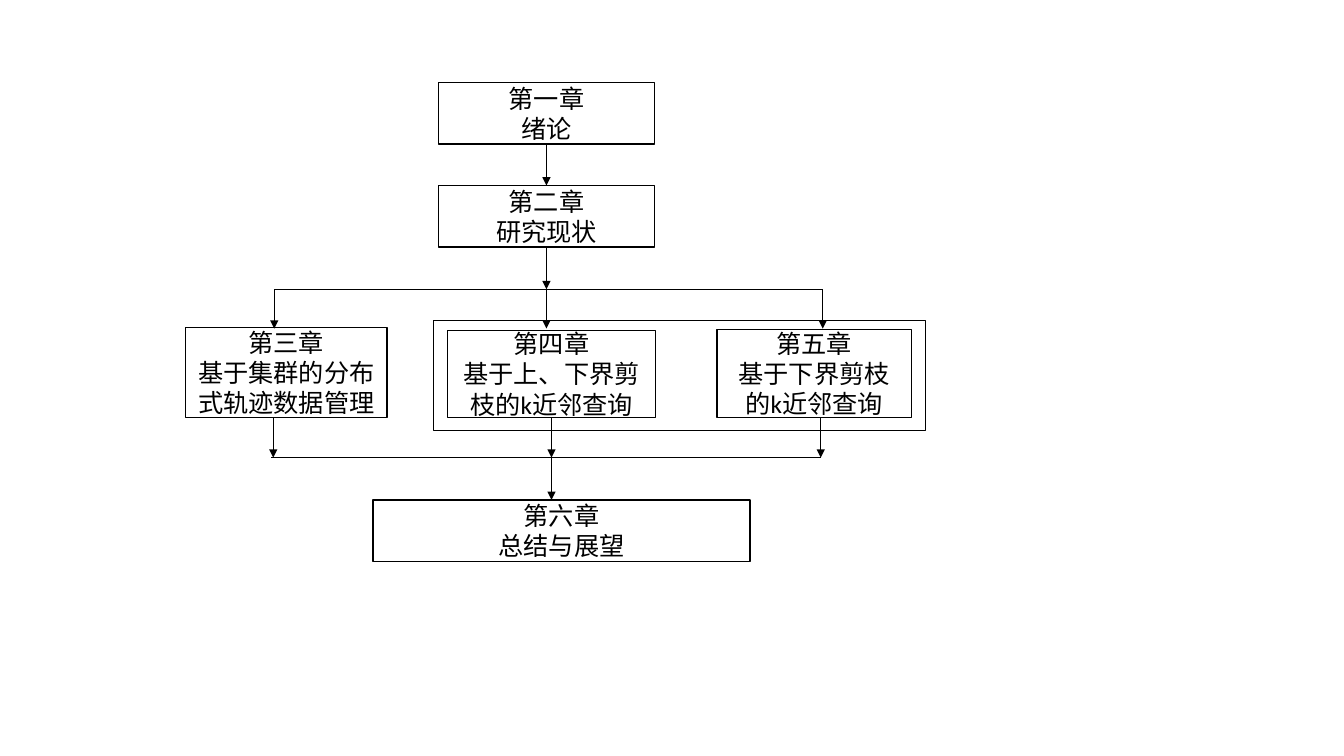
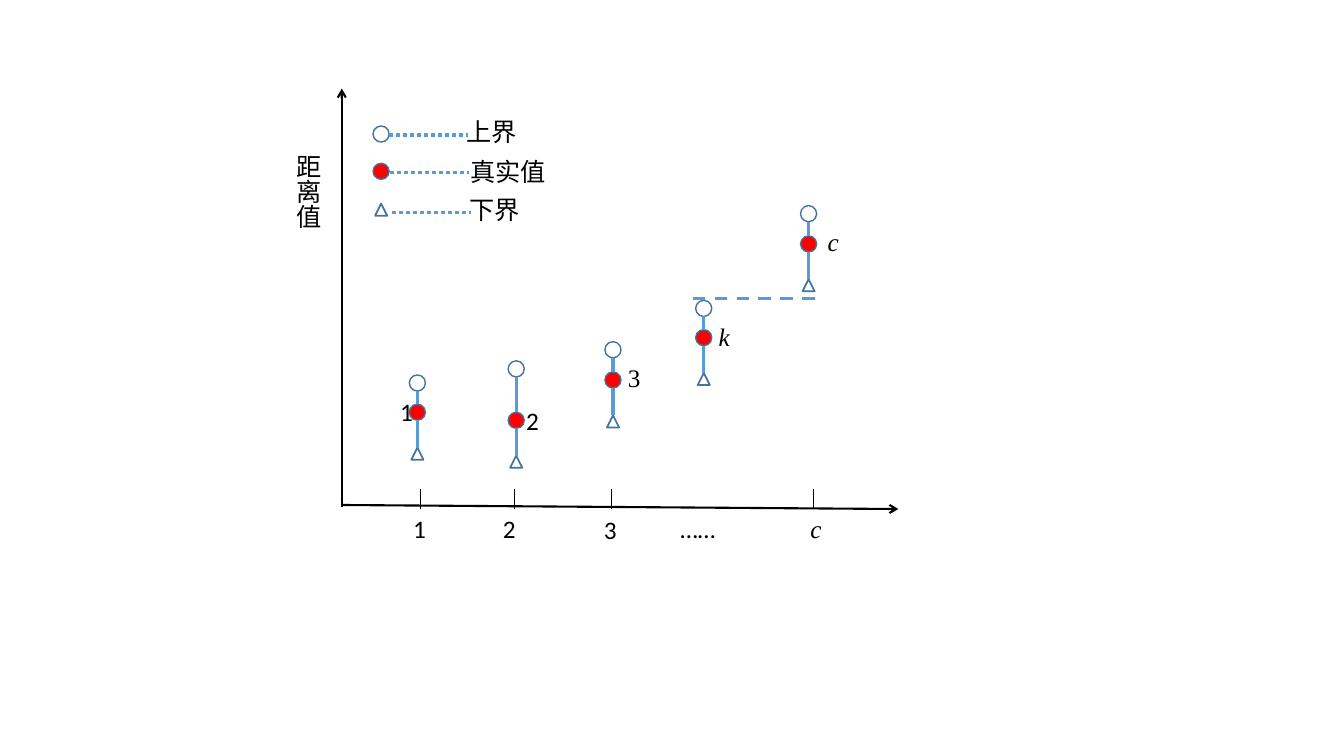
import pptx
import pptx.dml.color
import pptx.enum.dml
import pptx.enum.lang
import pptx.enum.shapes
import pptx.enum.text
import pptx.oxml.ns
import pptx.util
from dataclasses import dataclass
from lxml import etree

Inches = pptx.util.Inches
Pt = pptx.util.Pt
SHAPE = pptx.enum.shapes.MSO_SHAPE
ALIGN = pptx.enum.text.PP_ALIGN
DASH = pptx.enum.dml.MSO_LINE
qn = pptx.oxml.ns.qn


@dataclass(frozen=True)
class Theme:
    ink: str = "000000"
    series: str = "5B9BD5"
    outline: str = "43739E"
    true_value: str = "FF0000"
    sans: str = "Calibri"
    serif: str = "Times New Roman"
    text_size: float = 18
    thin: float = 0.5
    border: float = 1
    triangle: float = 1.25
    axis: float = 1.5
    stem: float = 2.25
    legend: float = 2.5


THEME = Theme()
CIRCLE_SIZE = 0.16
TRIANGLE_SIZE = 0.12


def rgb(value):
    return pptx.dml.color.RGBColor.from_string(value)


# Kinds of element
def style_text(tf, align, font=THEME.sans, italic=False):
    for p in tf.paragraphs:
        p.alignment = align
        for r in p.runs:
            r.font.name = font
            r.font.size = Pt(THEME.text_size)
            r.font.italic = italic
            r.font.color.rgb = rgb(THEME.ink)
            r.font.language_id = pptx.enum.lang.MSO_LANGUAGE_ID.SIMPLIFIED_CHINESE


def add_outline(s, kind, left, top, width, height, color, weight, fill=None):
    sp = s.shapes.add_shape(kind, Inches(left), Inches(top), Inches(width), Inches(height))
    sp.shadow.inherit = False
    if fill:
        sp.fill.solid()
        sp.fill.fore_color.rgb = rgb(fill)
    else:
        sp.fill.background()
    sp.line.color.rgb = rgb(color)
    sp.line.width = Pt(weight)
    return sp


def add_box(s, left, top, width, height, text=""):
    sp = add_outline(s, SHAPE.RECTANGLE, left, top, width, height, THEME.ink, THEME.border)
    tf = sp.text_frame
    tf.text = text
    tf.word_wrap = True
    tf.vertical_anchor = pptx.enum.text.MSO_ANCHOR.MIDDLE
    style_text(tf, ALIGN.CENTER)
    return sp


def add_line(s, start, end, color=THEME.ink, weight=THEME.thin, head=None, dash=None):
    """Draw a straight line; head is the arrowhead type at its end."""
    points = [Inches(v) for v in (*start, *end)]
    line = s.shapes.add_connector(pptx.enum.shapes.MSO_CONNECTOR.STRAIGHT, *points)
    line.line.color.rgb = rgb(color)
    line.line.width = Pt(weight)
    if dash:
        line.line.dash_style = dash
    if head:
        etree.SubElement(line.line._get_or_add_ln(), qn("a:tailEnd"), type=head)
    etree.SubElement(line._element.spPr, qn("a:effectLst"))
    return line


def add_arrow(s, x, top, bottom):
    return add_line(s, (x, top), (x, bottom), head="triangle")


def add_label(s, left, top, width, text, height=0.4, align=ALIGN.CENTER,
              wrap=True, font=THEME.sans, italic=False, vertical=False):
    sp = s.shapes.add_textbox(Inches(left), Inches(top), Inches(width), Inches(height))
    tf = sp.text_frame
    tf.text = text
    tf.word_wrap = wrap
    tf.auto_size = pptx.enum.text.MSO_AUTO_SIZE.SHAPE_TO_FIT_TEXT
    if vertical:
        tf._txBody.bodyPr.set("vert", "eaVert")
    style_text(tf, align, font, italic)


def add_marker(s, x, y, role):
    """Centre the marker of an upper bound, true value or lower bound on a point."""
    kind, size, weight, fill = {
        "upper": (SHAPE.OVAL, CIRCLE_SIZE, THEME.border, None),
        "true": (SHAPE.OVAL, CIRCLE_SIZE, THEME.border, THEME.true_value),
        "lower": (SHAPE.ISOSCELES_TRIANGLE, TRIANGLE_SIZE, THEME.triangle, None),
    }[role]
    add_outline(s, kind, x - size / 2, y - size / 2, size, size, THEME.outline, weight, fill)


def add_range(s, x, upper, true):
    """Draw one object's bounds around its true distance."""
    lower = true + 0.41
    radius = CIRCLE_SIZE / 2
    for role, y in (("upper", upper), ("true", true), ("lower", lower)):
        add_marker(s, x, y, role)
    for top, bottom in ((upper + radius, true - radius),
                        (true + radius, lower - TRIANGLE_SIZE / 2)):
        add_line(s, (x, top), (x, bottom), THEME.series, THEME.stem)


# Slides
def build_chapter_flow(s):
    # Chapters
    intro = add_box(s, 4.35, 0.82, 2.14, 0.61, "第一章\n绪论")
    review = add_box(s, 4.35, 1.84, 2.14, 0.61, "第二章\n研究现状")
    add_box(s, 1.84, 3.25, 2, 0.89, "第三章\n基于集群的分布式轨迹数据管理")
    bounds = add_box(s, 4.44, 3.28, 2.06, 0.86, "第四章\n基于上、下界剪枝的k近邻查询")
    add_box(s, 7.11, 3.27, 1.93, 0.87, "第五章\n基于下界剪枝的k近邻查询")
    add_box(s, 3.7, 4.96, 3.74, 0.61, "第六章\n总结与展望")
    add_box(s, 4.3, 3.18, 4.88, 1.09)

    # Opening chapters, then the split into three
    split, merge = 2.87, 4.54
    link = add_arrow(s, 5.42, 1.43, 1.84)
    link.begin_connect(intro, 2)
    link.end_connect(review, 0)
    add_arrow(s, 5.42, 2.45, split).begin_connect(review, 2)
    add_line(s, (2.72, split), (8.16, split))
    for x in (2.72, 5.42, 8.16):
        add_arrow(s, x, split, 3.26)

    # Merge into the last chapter
    for x in (2.71, 8.14):
        add_arrow(s, x, 4.14, merge)
    add_arrow(s, 5.47, 4.14, merge).begin_connect(bounds, 2)
    add_line(s, (2.69, merge), (8.14, merge))
    add_arrow(s, 5.47, merge, 4.96)


def build_distance_plot(s):
    # Axes
    add_line(s, (3.39, 5.03), (3.39, 0.88), weight=THEME.axis, head="arrow")
    add_line(s, (3.39, 5.01), (8.91, 5.05), weight=THEME.axis, head="arrow")
    for x in (4.17, 5.1, 6.06, 8.07):
        add_line(s, (x, 4.85), (x, 5.05))
    add_label(s, 2.76, 1.43, 0.5, "距离值", height=0.86, align=ALIGN.LEFT,
              wrap=False, vertical=True)
    for left, top, text in ((4, 5.04, "1"), (4.89, 5.04, "2"), (5.89, 5.05, "3")):
        add_label(s, left, top, 0.33, text, align=ALIGN.LEFT, wrap=False)
    add_label(s, 6.65, 5.04, 0.81, "……", align=ALIGN.LEFT)
    add_label(s, 7.94, 5.04, 0.31, "c", align=ALIGN.LEFT, wrap=False,
              font=THEME.serif, italic=True)

    # Ranges: centre, upper bound, true value, label position, text, font
    for x, upper, true, left, top, text, font in (
        (4.14, 3.8, 4.09, 3.87, 3.88, "1", THEME.sans),
        (5.12, 3.66, 4.17, 5.12, 3.97, "2", THEME.sans),
        (6.08, 3.47, 3.77, 6.13, 3.55, "3", THEME.serif),
        (6.98, 3.06, 3.35, 7.03, 3.14, "k", THEME.serif),
        (8.02, 2.12, 2.42, 8.11, 2.2, "c", THEME.serif),
    ):
        add_range(s, x, upper, true)
        add_label(s, left, top, 0.27, text, font=font, italic=text.isalpha())
    add_line(s, (6.87, 2.96), (8.16, 2.96), THEME.series, THEME.stem, dash=DASH.DASH)

    # Legend: marker height, line start, line height, label
    for role, y, start, line_y, left, top, width, text in (
        ("upper", 1.33, 3.86, 1.34, 4.45, 1.11, 0.85, "上界"),
        ("true", 1.7, 3.87, 1.71, 4.53, 1.5, 1.02, "真实值"),
        ("lower", 2.08, 3.89, 2.11, 4.48, 1.88, 0.85, "下界"),
    ):
        add_marker(s, 3.78, y, role)
        add_line(s, (start, line_y), (start + 0.78, line_y), THEME.series,
                 THEME.legend, dash=DASH.ROUND_DOT)
        add_label(s, left, top, width, text)


def main():
    prs = pptx.Presentation()
    prs.slide_width = Inches(13.33)
    prs.slide_height = Inches(7.5)
    blank = prs.slide_layouts[6]
    for build in (build_chapter_flow, build_distance_plot):
        build(prs.slides.add_slide(blank))
    prs.save("out.pptx")


if __name__ == "__main__":
    main()
